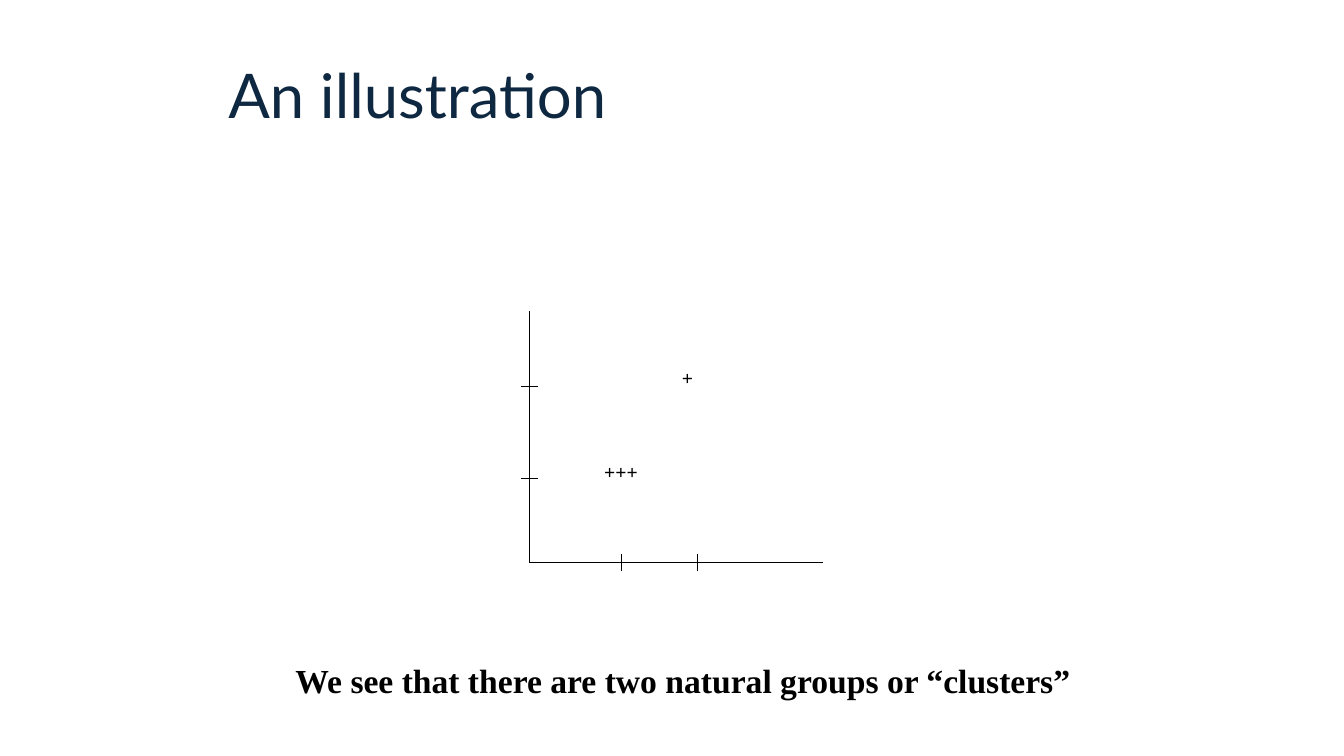
from dataclasses import dataclass

from lxml import etree
from pptx import Presentation
from pptx.dml.color import RGBColor
from pptx.enum.shapes import MSO_CONNECTOR
from pptx.enum.text import MSO_ANCHOR, MSO_AUTO_SIZE, PP_ALIGN
from pptx.oxml.ns import qn
from pptx.util import Emu, Pt

PX = 9525


@dataclass(frozen=True)
class Theme:
    ink: RGBColor = RGBColor(0x00, 0x00, 0x00)
    title_ink: RGBColor = RGBColor(0x0E, 0x28, 0x41)
    heading_font: str = "Lato"
    body_font: str = "Times New Roman"
    title_size: int = 44
    caption_size: int = 24
    mark_size: int = 14
    line_width: float = 0.75


THEME = Theme()


def px(length):
    return Emu(length * PX)


def add_text(page, box, text, size, font=THEME.body_font, color=THEME.ink,
             bold=True, align=PP_ALIGN.LEFT, anchor=MSO_ANCHOR.TOP, wrap=True):
    shape = page.shapes.add_textbox(*map(px, box))
    frame = shape.text_frame
    frame.word_wrap = wrap
    frame.auto_size = MSO_AUTO_SIZE.NONE if wrap else MSO_AUTO_SIZE.SHAPE_TO_FIT_TEXT
    frame.vertical_anchor = anchor
    para = frame.paragraphs[0]
    para.alignment = align
    span = para.add_run()
    span.text = text
    span.font.name = font
    span.font.size = Pt(size)
    span.font.bold = bold
    span.font.color.rgb = color


def add_line(page, x1, y1, x2, y2):
    line = page.shapes.add_connector(MSO_CONNECTOR.STRAIGHT, *map(px, (x1, y1, x2, y2)))
    line.line.color.rgb = THEME.ink
    line.line.width = Pt(THEME.line_width)
    etree.SubElement(line._element.spPr, qn("a:effectLst"))


def add_scatter(page, box):
    """Draw the axes, their ticks and the groups of marks inside the box."""
    left, top, width, height = box
    base = top + height
    tick = 8
    add_line(page, left, top, left, base)
    add_line(page, left, base, left + width, base)
    for x in (left + 88, left + 160):
        add_line(page, x, base - tick, x, base + tick)
    for y in (top + 72, top + 160):
        add_line(page, left + tick, y, left - tick, y)
    for marks, dx, dy, mark_width in (("+++", 62, 137, 51), ("+", 136, 48, 30)):
        add_text(page, (left + dx, top + dy, mark_width, 32), marks,
                 THEME.mark_size, wrap=False)


def add_title(page, box):
    add_text(page, box, "An illustration", THEME.title_size, THEME.heading_font,
             THEME.title_ink, bold=False, anchor=MSO_ANCHOR.MIDDLE)


def add_caption(page, box):
    add_text(page, box, "We see that there are two natural groups or “clusters”",
             THEME.caption_size, align=PP_ALIGN.JUSTIFY)


def main():
    deck = Presentation()
    deck.slide_width, deck.slide_height = px(1280), px(720)
    page = deck.slides.add_slide(deck.slide_layouts[6])
    add_scatter(page, (504, 296, 280, 240))
    add_caption(page, (272, 624, 808, 56))
    add_title(page, (208, 29, 864, 120))
    deck.save("out.pptx")


if __name__ == "__main__":
    main()
